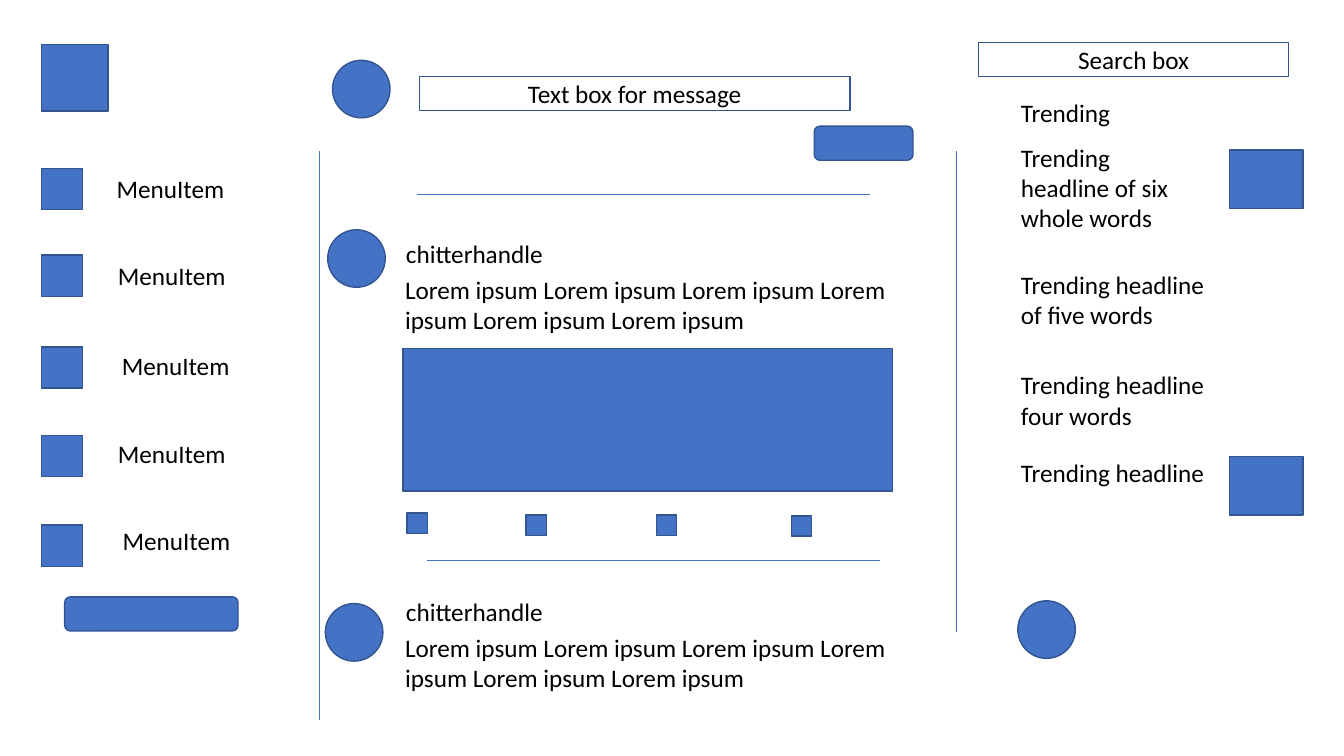
from lxml import etree
from pptx import Presentation
from pptx.dml.color import RGBColor
from pptx.enum.shapes import MSO_CONNECTOR as CONNECTOR, MSO_SHAPE as SHAPE
from pptx.enum.text import MSO_ANCHOR as ANCHOR, MSO_AUTO_SIZE as AUTO_SIZE, PP_ALIGN as ALIGN
from pptx.oxml.ns import qn
from pptx.util import Cm, Pt

BLUE = "4472C4"
DARK_BLUE = "325491"
BLACK = "000000"
LINE_HEIGHT = 1.02
BAR_HEIGHT = 0.86
POST_TEXT = "Lorem ipsum Lorem ipsum Lorem ipsum Lorem ipsum Lorem ipsum Lorem ipsum"


def color(value):
    return RGBColor.from_string(value)


def format_text(paragraph):
    for run in paragraph.runs:
        run.font.name = "Calibri"
        run.font.size = Pt(18)
        run.font.color.rgb = color(BLACK)


def add_block(slide, kind, left, top, width, height):
    shape = slide.shapes.add_shape(kind, Cm(left), Cm(top), Cm(width), Cm(height))
    shape.shadow.inherit = False
    shape.fill.solid()
    shape.fill.fore_color.rgb = color(BLUE)
    shape.line.color.rgb = color(DARK_BLUE)
    shape.line.width = Pt(1)
    return shape


def add_square(slide, left, top, size):
    add_block(slide, SHAPE.RECTANGLE, left, top, size, size)


def add_avatar(slide, left, top):
    add_block(slide, SHAPE.OVAL, left, top, 1.45, 1.45)


def add_button(slide, left, top, width):
    add_block(slide, SHAPE.ROUNDED_RECTANGLE, left, top, width, BAR_HEIGHT)


def add_input(slide, text, left, top, width):
    shape = add_block(slide, SHAPE.RECTANGLE, left, top, width, BAR_HEIGHT)
    shape.fill.background()
    text_frame = shape.text_frame
    text_frame.text = text
    text_frame.vertical_anchor = ANCHOR.MIDDLE
    paragraph = text_frame.paragraphs[0]
    paragraph.alignment = ALIGN.CENTER
    format_text(paragraph)


def add_label(slide, text, left, top, width, height=LINE_HEIGHT, wrap=False):
    shape = slide.shapes.add_textbox(Cm(left), Cm(top), Cm(width), Cm(height))
    text_frame = shape.text_frame
    text_frame.text = text
    text_frame.word_wrap = wrap
    text_frame.auto_size = AUTO_SIZE.SHAPE_TO_FIT_TEXT
    format_text(text_frame.paragraphs[0])


def add_divider(slide, start_x, start_y, end_x, end_y):
    connector = slide.shapes.add_connector(
        CONNECTOR.STRAIGHT, Cm(start_x), Cm(start_y), Cm(end_x), Cm(end_y))
    connector.line.color.rgb = color(BLUE)
    connector.line.width = Pt(0.5)
    etree.SubElement(connector._element.spPr, qn("a:effectLst"))


def add_menu(slide):
    add_square(slide, 1.04, 1.12, 1.68)
    items = [(4.24, 2.69, 4.24), (6.43, 2.72, 6.43), (8.74, 2.82, 8.71),
             (10.97, 2.72, 10.92), (13.23, 2.84, 13.11)]
    for icon_top, label_left, label_top in items:
        add_square(slide, 1.04, icon_top, 1.04)
        add_label(slide, "MenuItem", label_left, label_top, 3.25)
    add_button(slide, 1.63, 15.04, 4.37)


def add_post(slide, avatar_left, avatar_top, handle_top):
    add_avatar(slide, avatar_left, avatar_top)
    add_label(slide, "chitterhandle", 9.98, handle_top, 4.6, wrap=True)
    add_label(slide, POST_TEXT, 9.96, handle_top + 0.89, 13.03, 1.8, wrap=True)


def add_feed(slide):
    add_avatar(slide, 8.38, 1.52)
    add_input(slide, "Text box for message", 10.57, 1.93, 10.85)
    add_button(slide, 20.52, 3.18, 2.49)
    add_divider(slide, 21.92, 4.9, 10.52, 4.9)
    add_post(slide, 8.26, 5.79, 5.89)
    add_block(slide, SHAPE.RECTANGLE, 10.16, 8.79, 12.34, 3.58)
    for left, top in [(10.26, 12.93), (13.26, 12.98), (16.54, 12.98), (19.94, 13)]:
        add_square(slide, left, top, 0.51)
    add_divider(slide, 22.17, 14.12, 10.77, 14.12)
    add_post(slide, 8.2, 15.21, 14.91)


def add_trends(slide):
    add_input(slide, "Search box", 24.66, 1.07, 7.82)
    add_label(slide, "Trending", 25.48, 2.34, 2.79)
    headlines = [
        ("Trending headline of six whole words", 3.45, 5, 2.57),
        ("Trending headline of five words", 6.65, 5.26, 1.8),
        ("Trending headline four words", 9.19, 5.26, 1.8),
        ("Trending headline", 11.4, 5.26, LINE_HEIGHT),
    ]
    for text, top, width, height in headlines:
        add_label(slide, text, 25.48, top, width, height, wrap=True)
    for top in (3.78, 11.51):
        add_block(slide, SHAPE.RECTANGLE, 30.99, top, 1.85, 1.47)
    add_avatar(slide, 25.65, 15.14)


def main():
    presentation = Presentation()
    presentation.slide_width = Cm(33.87)
    presentation.slide_height = Cm(19.05)
    slide = presentation.slides.add_slide(presentation.slide_layouts[6])
    add_menu(slide)
    add_divider(slide, 8.05, 3.81, 8.05, 18.14)
    add_feed(slide)
    add_divider(slide, 24.1, 3.81, 24.1, 15.93)
    add_trends(slide)
    presentation.save("out.pptx")


if __name__ == "__main__":
    main()
